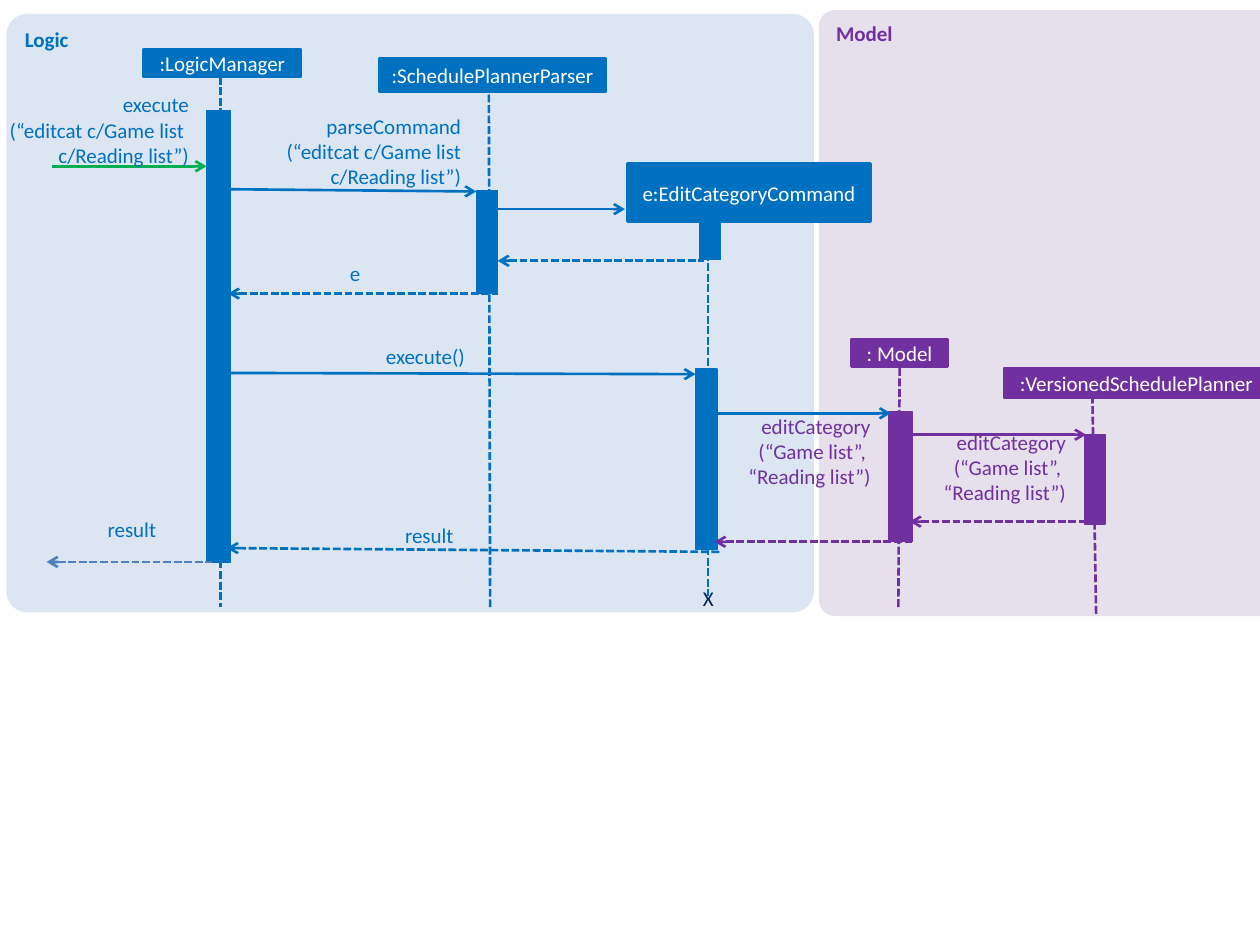
from typing import NamedTuple

from lxml.etree import SubElement
from pptx import Presentation
from pptx.dml.color import RGBColor
from pptx.enum.dml import MSO_LINE_DASH_STYLE as Dash
from pptx.enum.shapes import MSO_CONNECTOR as Connector, MSO_SHAPE as Shape
from pptx.enum.text import MSO_ANCHOR as Anchor, MSO_AUTO_SIZE as AutoSize, PP_ALIGN as Align
from pptx.oxml.ns import qn
from pptx.util import Inches, Pt

BLUE, PURPLE, GREEN, WHITE = "0070C0", "7030A0", "00B050", "FFFFFF"
NO_INSETS = {"margin_left": 0, "margin_right": 0, "margin_top": 0, "margin_bottom": 0}


class Box(NamedTuple):
    left: float
    top: float
    width: float
    height: float
    color: str
    text: str = ""


class Panel(NamedTuple):
    box: Box
    text_color: str


class Line(NamedTuple):
    x1: float
    y1: float
    x2: float
    y2: float
    color: str


class Label(NamedTuple):
    right: float
    top: float
    width: float
    color: str
    lines: tuple[str, ...]


PANELS = [
    Panel(Box(6.5, 0.08, 3.67, 4.81, "E6E0EC", "Model"), PURPLE),
    Panel(Box(0.05, 0.11, 6.41, 4.75, "DCE6F2", "Logic"), BLUE),
]
LIFELINES = [
    Line(1.75, 0.61, 1.75, 4.82, BLUE),
    Line(3.88, 0.75, 3.89, 4.82, BLUE),
    Line(5.62, 1.84, 5.62, 4.73, BLUE),
    Line(7.14, 2.92, 7.13, 4.82, PURPLE),
    Line(8.67, 3.14, 8.7, 4.89, PURPLE),
]
ACTIVATIONS = [
    Box(1.64, 0.88, 0.19, 3.58, BLUE),
    Box(3.78, 1.51, 0.17, 0.82, BLUE),
    Box(5.55, 1.76, 0.17, 0.3, BLUE),
    Box(5.52, 2.93, 0.17, 1.43, BLUE),
    Box(7.05, 3.27, 0.19, 1.03, PURPLE),
    Box(8.61, 3.45, 0.16, 0.71, PURPLE),
]
PARTICIPANTS = [
    Box(1.14, 0.39, 1.25, 0.22, BLUE, ":LogicManager"),
    Box(3.01, 0.46, 1.8, 0.27, BLUE, ":SchedulePlannerParser"),
    Box(4.98, 1.3, 1.93, 0.46, BLUE, "e:EditCategoryCommand"),
    Box(6.76, 2.69, 0.76, 0.22, PURPLE, ": Model"),
    Box(7.97, 2.92, 2.1, 0.24, PURPLE, ":VersionedSchedulePlanner"),
]
CALLS = [
    Line(0.41, 1.32, 1.64, 1.32, GREEN),
    Line(1.64, 1.5, 3.78, 1.52, BLUE),
    Line(3.95, 1.66, 4.96, 1.66, BLUE),
    Line(1.82, 2.96, 5.52, 2.97, BLUE),
    Line(5.56, 3.28, 7.07, 3.28, BLUE),
    Line(7.13, 3.45, 8.62, 3.45, PURPLE),
]
# Each reply is listed from the receiver, where its arrowhead sits.
REPLIES = [
    Line(3.95, 2.07, 5.59, 2.07, BLUE),
    Line(1.81, 2.33, 3.95, 2.33, BLUE),
    Line(7.22, 4.14, 8.61, 4.14, PURPLE),
    Line(5.67, 4.3, 7.25, 4.3, PURPLE),
    Line(1.8, 4.35, 5.72, 4.38, BLUE),
    Line(0.37, 4.46, 1.68, 4.46, "4F81BD"),
]
EDIT_CATEGORY = ("editCategory", "(“Game list”, ", "“Reading list”)")
LABELS = [
    Label(1.5, 0.73, 2.25, BLUE, ("execute", "(“editcat c/Game list ", "c/Reading list”)")),
    Label(3.66, 0.9, 2.2, BLUE, ("parseCommand", "(“editcat c/Game list", "c/Reading list”)")),
    Label(2.86, 2.07, 0.47, BLUE, ("e",)),
    Label(3.69, 2.73, 0.94, BLUE, ("execute()",)),
    Label(6.91, 3.28, 1.87, PURPLE, EDIT_CATEGORY),
    Label(8.46, 3.41, 1.87, PURPLE, EDIT_CATEGORY),
    Label(1.24, 4.1, 0.83, BLUE, ("result",)),
    Label(3.6, 4.15, 0.68, BLUE, ("result",)),
]


def paint(color_format, color: str) -> None:
    color_format.rgb = RGBColor.from_string(color)


def write(shape, lines: tuple[str, ...], color: str, align: Align,
          bold: bool = False, **frame_format) -> None:
    frame = shape.text_frame
    for name, value in frame_format.items():
        setattr(frame, name, value)
    for index, text in enumerate(lines):
        para = frame.add_paragraph() if index else frame.paragraphs[0]
        para.alignment = align
        span = para.add_run()
        span.text = text
        for name, value in {"name": "Calibri", "size": Pt(12), "bold": bold}.items():
            setattr(span.font, name, value)
        paint(span.font.color, color)


def add_box(page, box: Box, kind: Shape = Shape.RECTANGLE, line_width: float = 0):
    """Add a filled box; a line width of 0 means no outline."""
    shape = page.shapes.add_shape(kind, *map(Inches, box[:4]))
    shape.shadow.inherit = False
    shape.fill.solid()
    paint(shape.fill.fore_color, box.color)
    if line_width:
        shape.line.width = Pt(line_width)
        paint(shape.line.color, box.color)
    else:
        shape.line.fill.background()
    return shape


def add_panel(page, panel: Panel) -> None:
    shape = add_box(page, panel.box, Shape.ROUNDED_RECTANGLE)
    shape.adjustments[0] = 0.035
    write(shape, (panel.box.text,), panel.text_color, Align.LEFT, bold=True,
          vertical_anchor=Anchor.TOP)


def add_participant(page, box: Box) -> None:
    shape = add_box(page, box, line_width=1.5)
    write(shape, (box.text,), WHITE, Align.CENTER, vertical_anchor=Anchor.MIDDLE,
          word_wrap=True)


def add_line(page, line: Line, dashed: bool = False, arrow_end: str = "") -> None:
    """Add a line; arrow_end is "headEnd" (start), "tailEnd" (finish) or empty."""
    connector = page.shapes.add_connector(Connector.STRAIGHT, *map(Inches, line[:4]))
    connector.line.width = Pt(1.5)
    paint(connector.line.color, line.color)
    if dashed:
        connector.line.dash_style = Dash.SQUARE_DOT
    if arrow_end:
        SubElement(connector.line._get_or_add_ln(), qn(f"a:{arrow_end}"), type="arrow")
    SubElement(connector._element.spPr, qn("a:effectLst"))


def add_label(page, label: Label) -> None:
    height = 0.2 * len(label.lines)
    area = (label.right - label.width, label.top, label.width, height)
    shape = page.shapes.add_textbox(*map(Inches, area))
    write(shape, label.lines, label.color, Align.RIGHT, word_wrap=True,
          auto_size=AutoSize.SHAPE_TO_FIT_TEXT, **NO_INSETS)


def main() -> None:
    deck = Presentation()
    deck.slide_width, deck.slide_height = Inches(10), Inches(7.5)
    page = deck.slides.add_slide(deck.slide_layouts[6])

    for panel in PANELS:
        add_panel(page, panel)
    for lifeline in LIFELINES:
        add_line(page, lifeline, dashed=True)
    for activation in ACTIVATIONS:
        add_box(page, activation, line_width=0.75)
    for participant in PARTICIPANTS:
        add_participant(page, participant)
    for call in CALLS:
        add_line(page, call, arrow_end="tailEnd")
    for reply in REPLIES:
        add_line(page, reply, dashed=True, arrow_end="headEnd")
    for label in LABELS:
        add_label(page, label)
    destroyed = page.shapes.add_textbox(*map(Inches, (5.48, 4.6, 0.29, 0.3)))
    write(destroyed, ("X",), "002060", Align.LEFT, word_wrap=False,
          auto_size=AutoSize.SHAPE_TO_FIT_TEXT)

    deck.save("out.pptx")


if __name__ == "__main__":
    main()
